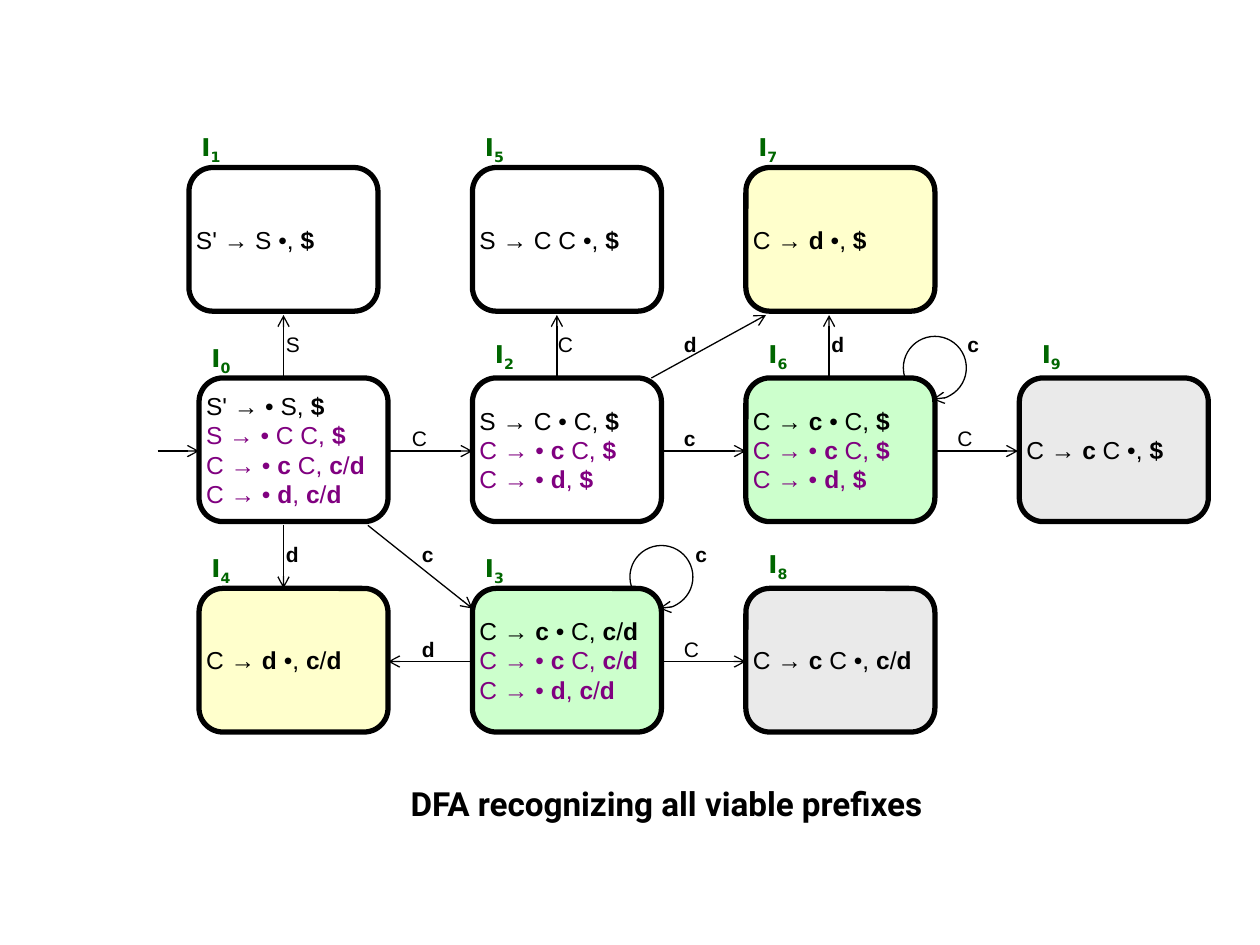
"""Build the slide with the DFA that recognizes all viable prefixes."""
from dataclasses import dataclass
from itertools import groupby

from lxml import etree
from pptx import Presentation
from pptx.dml.color import RGBColor
from pptx.enum.shapes import MSO_CONNECTOR, MSO_SHAPE
from pptx.enum.text import MSO_ANCHOR, MSO_AUTO_SIZE, PP_ALIGN
from pptx.oxml.ns import qn
from pptx.util import Inches, Pt

ROUND, ARC = MSO_SHAPE.ROUNDED_RECTANGLE, MSO_SHAPE.ARC
STRAIGHT = MSO_CONNECTOR.STRAIGHT
TOP, MIDDLE = MSO_ANCHOR.TOP, MSO_ANCHOR.MIDDLE
FIXED, GROW = MSO_AUTO_SIZE.NONE, MSO_AUTO_SIZE.SHAPE_TO_FIT_TEXT
LEFT, CENTER = PP_ALIGN.LEFT, PP_ALIGN.CENTER

BOLD_SIGNS = "cd$"
WIDE, HIGH = 1.5, 1.14
COL, ROW = 2.17, 1.67

WHITE, YELLOW, GREEN, GRAY = "FFFFFF", "FFFFCC", "CCFFCC", "EAEAEA"


@dataclass(frozen=True)
class Theme:
    ink: str = "000000"
    added: str = "800080"
    name: str = "006600"
    body_font: str = "Arial"
    name_font: str = "DejaVu Sans"
    head_font: str = "Roboto"
    head_size: float = 19
    item_size: float = 14
    edge_size: float = 12
    frame: float = 3
    thin: float = 0.75


STATES = [
    # number, left, row, fill, name shift, items
]
STATES = [
    (0, 1.58, 1, WHITE, (0, -0.33),
     ["S' → • S, $", "S → • C C, $", "C → • c C, c/d", "C → • d, c/d"]),
    (1, 1.5, 0, WHITE, (0, -0.33), ["S' → S •, $"]),
    (2, 1.58 + COL, 1, WHITE, (0.08, -0.36),
     ["S → C • C, $", "C → • c C, $", "C → • d, $"]),
    (3, 1.58 + COL, 2, GREEN, (0, -0.33),
     ["C → c • C, c/d", "C → • c C, c/d", "C → • d, c/d"]),
    (4, 1.58, 2, YELLOW, (0, -0.33), ["C → d •, c/d"]),
    (5, 1.58 + COL, 0, WHITE, (0, -0.33), ["S → C C •, $"]),
    (6, 1.58 + 2 * COL, 1, GREEN, (0.08, -0.36),
     ["C → c • C, $", "C → • c C, $", "C → • d, $"]),
    (7, 1.58 + 2 * COL, 0, YELLOW, (0, -0.33), ["C → d •, $"]),
    (8, 1.58 + 2 * COL, 2, GRAY, (0.08, -0.36), ["C → c C •, c/d"]),
    (9, 1.58 + 3 * COL, 1, GRAY, (0.08, -0.36), ["C → c C •, $"]),
]

ARROWS = [
    ((1.25, 3.58), (1.58, 3.58)),
    ((3.08, 3.58), (3.75, 3.58)),
    ((5.25, 3.58), (5.92, 3.58)),
    ((7.42, 3.58), (8.08, 3.58)),
    ((2.25, 3), (2.25, 2.5)),
    ((4.42, 3), (4.42, 2.5)),
    ((6.58, 3), (6.58, 2.5)),
    ((5.17, 3), (6.08, 2.5)),
    ((2.25, 4.17), (2.25, 4.67)),
    ((2.92, 4.17), (3.75, 4.83)),
    ((3.75, 5.25), (3.08, 5.25)),
    ((5.25, 5.25), (5.92, 5.25)),
]

LOOPS = [(7.17, 2.67), (5, 4.33)]

EDGES = {
    2.58: [("S", 2.17), ("C", 4.33), ("d", 5.33), ("d", 6.5), ("c", 7.58)],
    3.33: [("C", 3.17), ("c", 5.33), ("C", 7.5)],
    4.25: [("d", 2.17), ("c", 3.25), ("c", 5.42)],
    5: [("d", 3.25), ("C", 5.33)],
}


class Chart:
    """Hold the theme and the current slide, and draw each kind of element."""

    def __init__(self, slide, theme):
        self.slide, self.theme = slide, theme

    def style(self, para, font, size, color, align=LEFT):
        para.alignment = align
        para.font.name, para.font.size = font, Pt(size)
        para.font.color.rgb = RGBColor.from_string(color)

    def signs(self, para, text, size, color):
        self.style(para, self.theme.body_font, size, color)
        for bold, part in groupby(text, lambda sign: sign in BOLD_SIGNS):
            run = para.add_run()
            run.text, run.font.bold = "".join(part), bold

    def ink(self, shape, width, arrow=False):
        shape.line.color.rgb = RGBColor.from_string(self.theme.ink)
        shape.line.width = Pt(width)
        if arrow:
            line = shape.element.spPr.find(qn("a:ln"))
            etree.SubElement(line, qn("a:tailEnd"), type="arrow")

    def head(self, text):
        title = self.slide.shapes.title
        title.left, title.top = Inches(2.25), Inches(6.17)
        title.width, title.height = Inches(6.08), Inches(0.5)
        frame = title.text_frame
        frame.text, frame.vertical_anchor = text, TOP
        frame.auto_size = FIXED
        para, theme = frame.paragraphs[0], self.theme
        self.style(para, theme.head_font, theme.head_size, theme.ink, CENTER)
        para.font.bold = True

    def box(self, left, top, width, height):
        shape = self.slide.shapes.add_textbox(
            Inches(left), Inches(top), Inches(width), Inches(height))
        frame = shape.text_frame
        frame.word_wrap, frame.auto_size = True, GROW
        return frame.paragraphs[0]

    def state(self, number, left, row, fill, shift, items):
        top, theme = 1.33 + row * ROW, self.theme
        shape = self.slide.shapes.add_shape(
            ROUND, Inches(left), Inches(top), Inches(WIDE), Inches(HIGH))
        shape.shadow.inherit = False
        shape.fill.solid()
        shape.fill.fore_color.rgb = RGBColor.from_string(fill)
        self.ink(shape, theme.frame)
        frame = shape.text_frame
        frame.word_wrap, frame.vertical_anchor = False, MIDDLE
        frame.margin_left = frame.margin_right = 0
        frame.margin_top = frame.margin_bottom = 0
        for index, item in enumerate(items):
            para = frame.add_paragraph() if index else frame.paragraphs[0]
            color = theme.added if index else theme.ink
            self.signs(para, item, theme.item_size, color)
        self.name(number, left + shift[0], top + shift[1])

    def name(self, number, left, top):
        para = self.box(left, top, 0.75, 0.33)
        self.style(para, self.theme.name_font, self.theme.item_size,
                   self.theme.name)
        para.font.bold = True
        para.add_run().text = "I"
        sub = para.add_run()
        sub.text = str(number)
        sub.font._element.set("baseline", "-25000")

    def edge(self, sign, left, top):
        para = self.box(left, top, 0.33, 0.3)
        self.signs(para, sign, self.theme.edge_size, self.theme.ink)

    def arrow(self, start, end):
        line = self.slide.shapes.add_connector(
            STRAIGHT, *(Inches(value) for value in start + end))
        self.ink(line, self.theme.thin, arrow=True)
        etree.SubElement(line.element.spPr, qn("a:effectLst"))

    def loop(self, left, top):
        arc = self.slide.shapes.add_shape(
            ARC, Inches(left), Inches(top), Inches(0.5), Inches(0.5))
        arc.shadow.inherit = False
        arc.fill.background()
        for index, angle in enumerate((161, 94)):
            arc.adjustments[index] = angle * 0.6
        self.ink(arc, self.theme.thin, arrow=True)


def main():
    deck = Presentation()
    deck.slide_width, deck.slide_height = Inches(10), Inches(7.5)
    chart = Chart(deck.slides.add_slide(deck.slide_layouts[5]), Theme())
    chart.head("DFA recognizing all viable prefixes")
    for state in STATES:
        chart.state(*state)
    for start, end in ARROWS:
        chart.arrow(start, end)
    for left, top in LOOPS:
        chart.loop(left, top)
    for top, edges in EDGES.items():
        for sign, left in edges:
            chart.edge(sign, left, top)
    deck.save("out.pptx")


if __name__ == "__main__":
    main()
